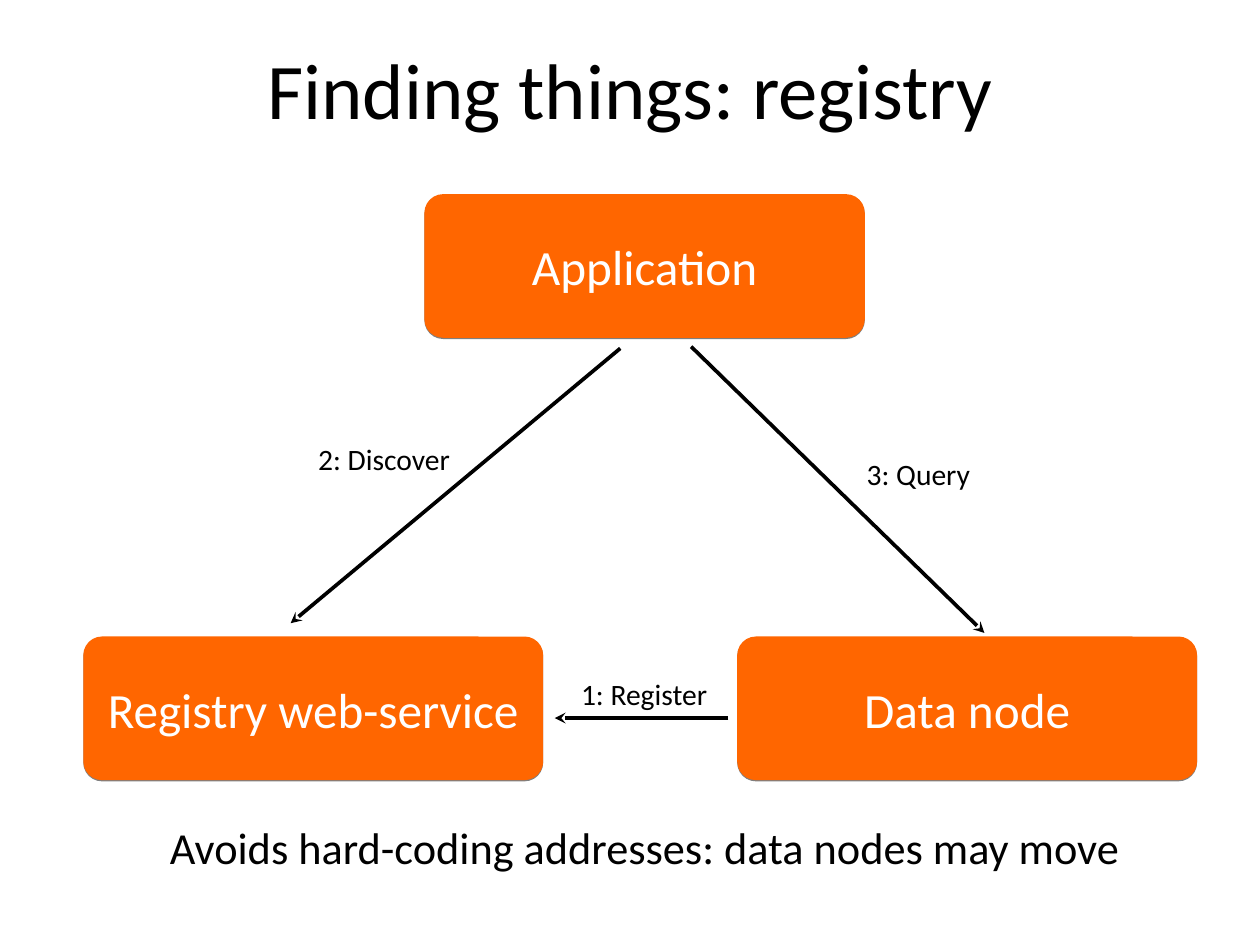
from dataclasses import dataclass

from lxml.etree import SubElement
from pptx import Presentation
from pptx.dml.color import RGBColor
from pptx.enum.shapes import MSO_CONNECTOR, MSO_SHAPE
from pptx.enum.text import MSO_ANCHOR, PP_ALIGN
from pptx.oxml.ns import qn
from pptx.shapes.autoshape import Shape
from pptx.slide import Slide
from pptx.util import Emu, Pt

EMU_PER_PX = 9144
FONT = "Calibri"
BLACK, WHITE, ORANGE = "000000", "FFFFFF", "FF6600"
BOX_HEIGHT = 162
LOWER_TOP = 718


@dataclass(frozen=True)
class Box:
    text: str
    left: int
    top: int
    width: int


@dataclass(frozen=True)
class Label:
    text: str
    left: int
    top: int
    width: int
    height: int
    size: int
    wrap: bool = False


@dataclass(frozen=True)
class Arrow:
    start: tuple[int, int]
    end: tuple[int, int]


BOXES = [
    Box("Application", 479, 219, 497),
    Box("Registry web-service", 94, LOWER_TOP, 519),
    Box("Data node", 832, LOWER_TOP, 519),
]
ARROWS = [
    Arrow((822, 810), (626, 810)),
    Arrow((700, 393), (328, 703)),
    Arrow((780, 391), (1111, 714)),
]
LABELS = [
    Label("Finding things: registry", 139, 28, 1144, 143, 64, True),
    Label("1: Register", 644, 763, 166, 40, 24),
    Label("2: Discover", 348, 497, 171, 40, 24),
    Label("3: Query", 970, 514, 133, 40, 24),
    Label("Avoids hard-coding addresses: data nodes may move", 102, 925, 1251, 60, 36),
]


def px(length: int) -> Emu:
    """Turn a length in px into EMU."""
    return Emu(length * EMU_PER_PX)


def color(value: str) -> RGBColor:
    """Turn a hex string into a colour."""
    return RGBColor.from_string(value)


def write_text(shape: Shape, text: str, size: int, text_color: str, wrap: bool) -> None:
    """Centre one line of text in a shape without insets."""
    frame = shape.text_frame
    frame.text = text
    frame.word_wrap = wrap
    frame.vertical_anchor = MSO_ANCHOR.MIDDLE
    frame.margin_left = frame.margin_right = frame.margin_top = frame.margin_bottom = 0
    paragraph = frame.paragraphs[0]
    paragraph.alignment = PP_ALIGN.CENTER
    font = paragraph.runs[0].font
    font.name, font.size = FONT, Pt(size)
    font.color.rgb = color(text_color)


def add_drop_shadow(shape: Shape) -> None:
    """Give a shape a thin half-transparent shadow below it."""
    shape.shadow.inherit = False
    effects = shape._element.spPr.find(qn("a:effectLst"))
    shadow = SubElement(effects, qn("a:outerShdw"), blurRad="0", dist=str(Pt(1)),
                        dir="5400000", algn="ctr", rotWithShape="0")
    shadow_color = SubElement(shadow, qn("a:srgbClr"), val=BLACK)
    SubElement(shadow_color, qn("a:alpha"), val="50000")


def draw_box(slide: Slide, box: Box) -> None:
    """Draw a rounded orange box with its name."""
    shape = slide.shapes.add_shape(MSO_SHAPE.ROUNDED_RECTANGLE, px(box.left), px(box.top),
                                   px(box.width), px(BOX_HEIGHT))
    shape.adjustments[0] = 0.13
    shape.fill.solid()
    shape.fill.fore_color.rgb = color(ORANGE)
    shape.line.fill.background()
    add_drop_shadow(shape)
    write_text(shape, box.text, 40, WHITE, True)


def draw_arrow(slide: Slide, arrow: Arrow) -> None:
    """Draw a black line with a stealth head at its end."""
    connector = slide.shapes.add_connector(MSO_CONNECTOR.STRAIGHT, *map(px, arrow.start + arrow.end))
    connector.line.width = Pt(3)
    connector.line.color.rgb = color(BLACK)
    SubElement(connector.line._get_or_add_ln(), qn("a:tailEnd"), type="stealth")
    SubElement(connector._element.spPr, qn("a:effectLst"))


def draw_label(slide: Slide, label: Label) -> None:
    """Draw a centred black text."""
    shape = slide.shapes.add_textbox(px(label.left), px(label.top), px(label.width), px(label.height))
    write_text(shape, label.text, label.size, BLACK, label.wrap)


def main() -> None:
    """Build the slide and save it."""
    presentation = Presentation()
    presentation.slide_width, presentation.slide_height = px(1422), px(1066)
    slide = presentation.slides.add_slide(presentation.slide_layouts[6])
    for box in BOXES:
        draw_box(slide, box)
    for arrow in ARROWS:
        draw_arrow(slide, arrow)
    for label in LABELS:
        draw_label(slide, label)
    presentation.save("out.pptx")


if __name__ == "__main__":
    main()
